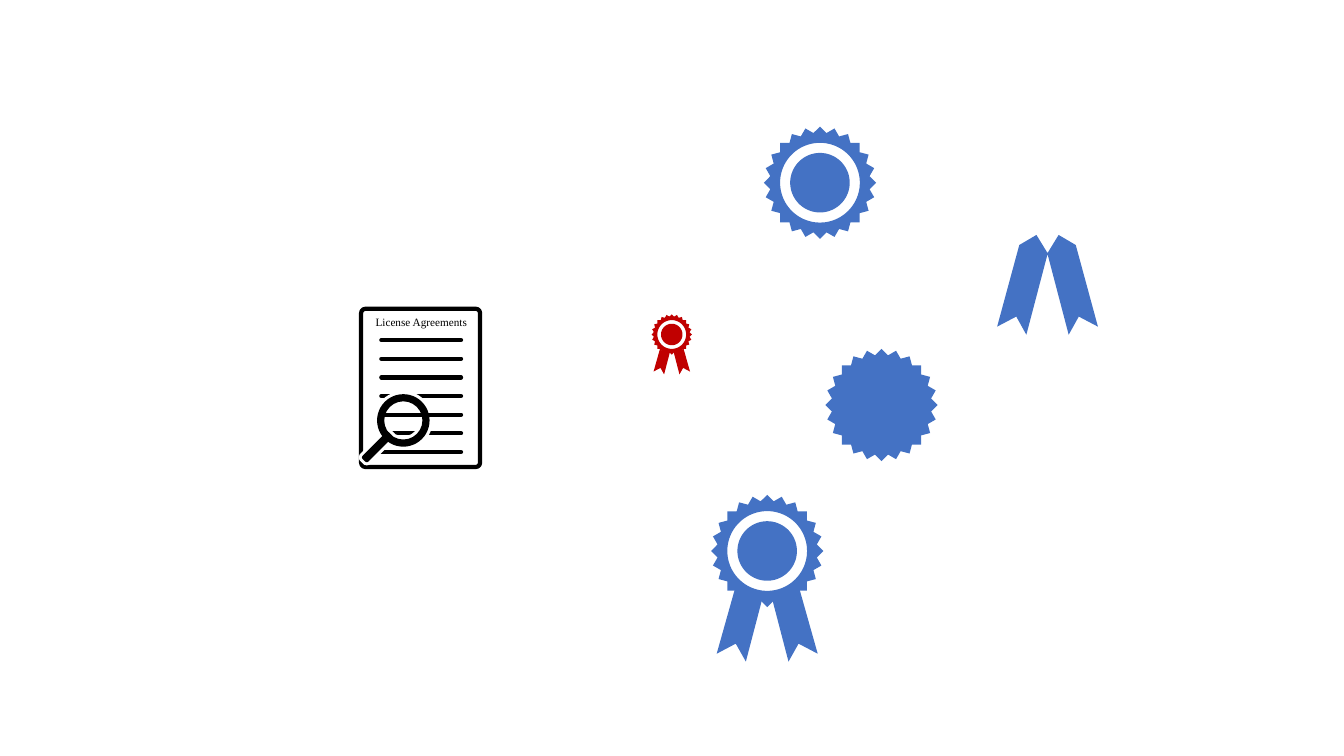
from math import cos, sin, pi, sqrt

from lxml.etree import SubElement
from pptx import Presentation
from pptx.dml.color import RGBColor
from pptx.enum.shapes import MSO_CONNECTOR, MSO_SHAPE
from pptx.enum.text import MSO_AUTO_SIZE, PP_ALIGN
from pptx.oxml.ns import qn
from pptx.util import Cm, Pt

BLUE = RGBColor(0x44, 0x72, 0xC4)
RED = RGBColor(0xC0, 0x00, 0x00)
BLACK = RGBColor(0, 0, 0)
WHITE = RGBColor(0xFF, 0xFF, 0xFF)

# Left tail of an award, in seal radii from the seal's centre
TAIL = [(-0.57, 0.66), (-0.54, 0.66), (-0.5, 0.83), (-0.34, 0.77), (-0.25, 0.92),
        (-0.11, 0.84), (-0.09, 0.86), (-0.38, 1.97), (-0.56, 1.65), (-0.9, 1.83)]
# Right half of the open ribbon, as shares of its width, from its top centre
HALF = [(0.11, 0), (0.28, 0.1), (0.5, 0.91), (0.31, 0.81), (0.21, 0.99), (0, 0.19)]
TEETH = 24
NOTCH = sin(pi / 4) / sin(pi / 4 + pi / TEETH)


def paint(shape, fill, line=None, width=0):
    """Give a shape its fill and line, without a shadow."""
    shape.shadow.inherit = False
    shape.fill.solid()
    shape.fill.fore_color.rgb = fill
    if line is None:
        shape.line.fill.background()
    else:
        shape.line.color.rgb = line
        shape.line.width = Pt(width)


def outline(shapes, mid, unit, loops, color):
    """Draw closed loops, given in units around a middle point."""
    spots = [[(Cm(mid[0] + unit * x), Cm(mid[1] + unit * y)) for x, y in loop]
             for loop in loops]
    pen = shapes.build_freeform(*spots[0][0])
    pen.add_line_segments(spots[0][1:])
    for loop in spots[1:]:
        pen.move_to(*loop[0])
        pen.add_line_segments(loop[1:])
    paint(pen.convert_to_shape(), color)


def ring(count, radii):
    """Return points round a circle, taking the radii in turn."""
    return [(r * sin(a), -r * cos(a))
            for i in range(count)
            for r, a in [(radii[i % len(radii)], 2 * pi * i / count)]]


def seal(shapes, left, top, size, color):
    """Draw a toothed seal with a round gap in a square box."""
    half = size / 2
    loops = [ring(2 * TEETH, (1, NOTCH)), ring(96, (0.71,)), ring(96, (0.53,))]
    loops = [loop + loop[:1] for loop in loops]
    outline(shapes, (left + half, top + half), half, loops, color)


def award(slide, left, top, size, color):
    """Draw a seal with two tails below it."""
    shapes = slide.shapes.add_group_shape().shapes
    half = size / 2
    for side in (1, -1):
        tail = [(side * x, y) for x, y in TAIL]
        outline(shapes, (left + half, top + half), half, [tail + tail[:1]], color)
    seal(shapes, left, top, size, color)


def burst(slide, left, top, size):
    """Draw a full star from squares turned in equal steps."""
    shapes = slide.shapes.add_group_shape().shapes
    side = size / sqrt(2)
    gap = (size - side) / 2
    for turn in range(0, 90, 15):
        tile = shapes.add_shape(MSO_SHAPE.RECTANGLE, Cm(left + gap), Cm(top + gap),
                                Cm(side), Cm(side))
        tile.rotation = turn
        paint(tile, BLUE)


def ribbon(slide, left, top, width):
    """Draw an open pair of ribbon tails."""
    other = [(-x, y) for x, y in reversed(HALF[:-1])]
    loop = [(0, 0.18)] + HALF + other + [(0, 0.18)]
    outline(slide.shapes, (left + width / 2, top), width, [loop], BLUE)


def rules(slide, left, top, width, rows):
    """Draw the chosen text lines of the page."""
    for row in rows:
        y = Cm(top + 0.47 * row)
        rule = slide.shapes.add_connector(MSO_CONNECTOR.STRAIGHT, Cm(left), y,
                                          Cm(left + width), y)
        rule.line.color.rgb = BLACK
        rule.line.width = Pt(3)
        rule.line._get_or_add_ln().set("cap", "rnd")
        SubElement(rule._element.spPr, qn("a:effectLst"))


def lens(slide, left, top, size):
    """Draw a magnifying glass over a white halo."""
    shapes = slide.shapes.add_group_shape().shapes
    for color, width in ((WHITE, 6), (BLACK, 1.5)):
        rim = shapes.add_shape(MSO_SHAPE.DONUT, Cm(left), Cm(top), Cm(size), Cm(size))
        rim.adjustments[0] = 0.1
        grip = shapes.add_shape(MSO_SHAPE.ROUNDED_RECTANGLE, Cm(left - 0.1),
                                Cm(top + 0.86), Cm(0.15), Cm(0.89))
        grip.rotation = 45
        for part in (rim, grip):
            paint(part, BLACK, color, width)


def page(slide, left, top, width, height):
    """Draw the licence page with its title, lines and lens."""
    sheet = slide.shapes.add_shape(MSO_SHAPE.ROUNDED_RECTANGLE, Cm(left), Cm(top),
                                   Cm(width), Cm(height))
    sheet.adjustments[0] = 0.038
    paint(sheet, WHITE, BLACK, 3)
    lines = (left + 0.51, top + 0.79, 2.01)
    rules(slide, *lines, (1, 3, 5, 6))
    lens(slide, left + 0.43, top + 2.18, 1.27)
    box = slide.shapes.add_textbox(Cm(left + 0.1), Cm(top + 0.05), Cm(2.84), Cm(0.6))
    frame = box.text_frame
    frame.word_wrap = False
    frame.auto_size = MSO_AUTO_SIZE.SHAPE_TO_FIT_TEXT
    para = frame.paragraphs[0]
    para.alignment = PP_ALIGN.CENTER
    run = para.add_run()
    run.text = "License Agreements"
    run.font.name = "Times New Roman"
    run.font.size = Pt(8)
    run.font.color.rgb = BLACK
    rules(slide, *lines, (0, 2, 4))


def main():
    """Build the slide and save it."""
    deck = Presentation()
    deck.slide_width, deck.slide_height = Cm(33.87), Cm(19.05)
    slide = deck.slides.add_slide(deck.slide_layouts[6])
    page(slide, 9.1, 7.78, 3, 3.99)
    burst(slide, 20.8, 8.79, 2.83)
    seal(slide.shapes, 19.25, 3.19, 2.83, BLUE)
    award(slide, 16.42, 7.92, 1.02, RED)
    ribbon(slide, 25.13, 5.92, 2.54)
    award(slide, 17.92, 12.47, 2.83, BLUE)
    deck.save("out.pptx")


main()
